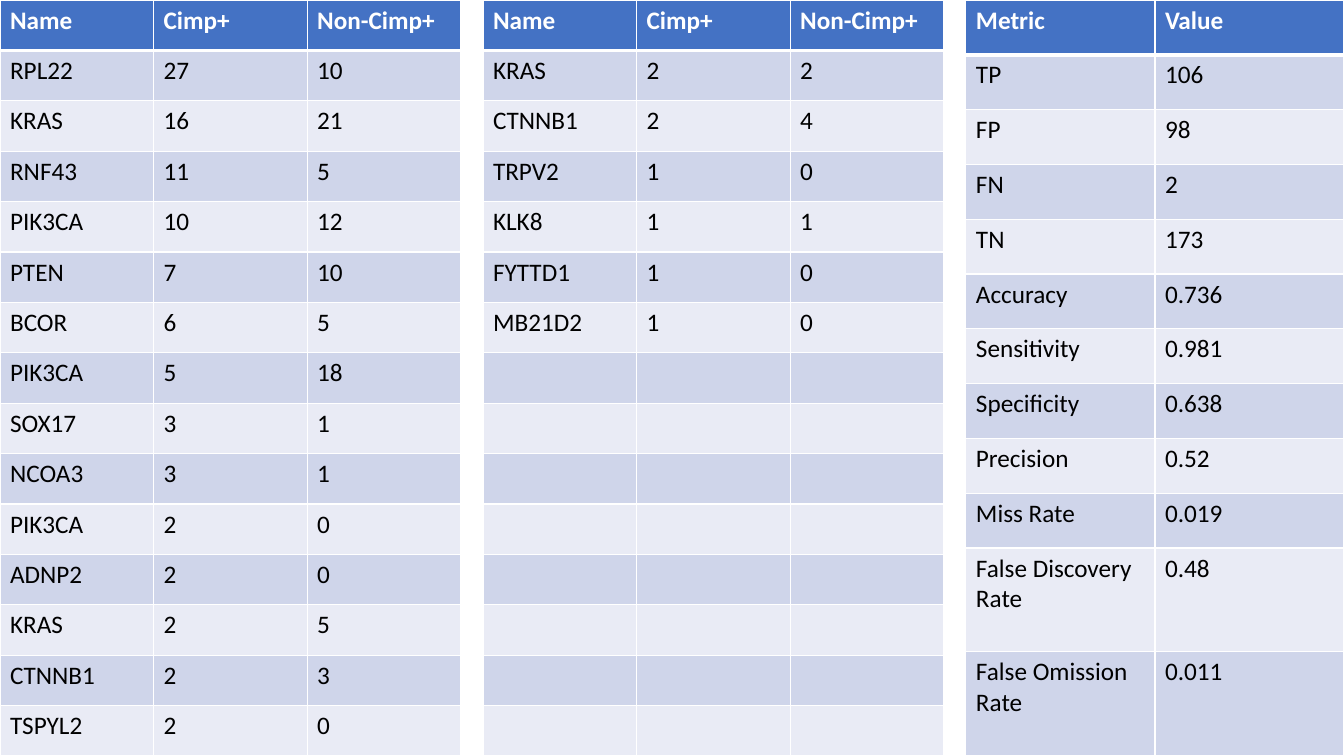
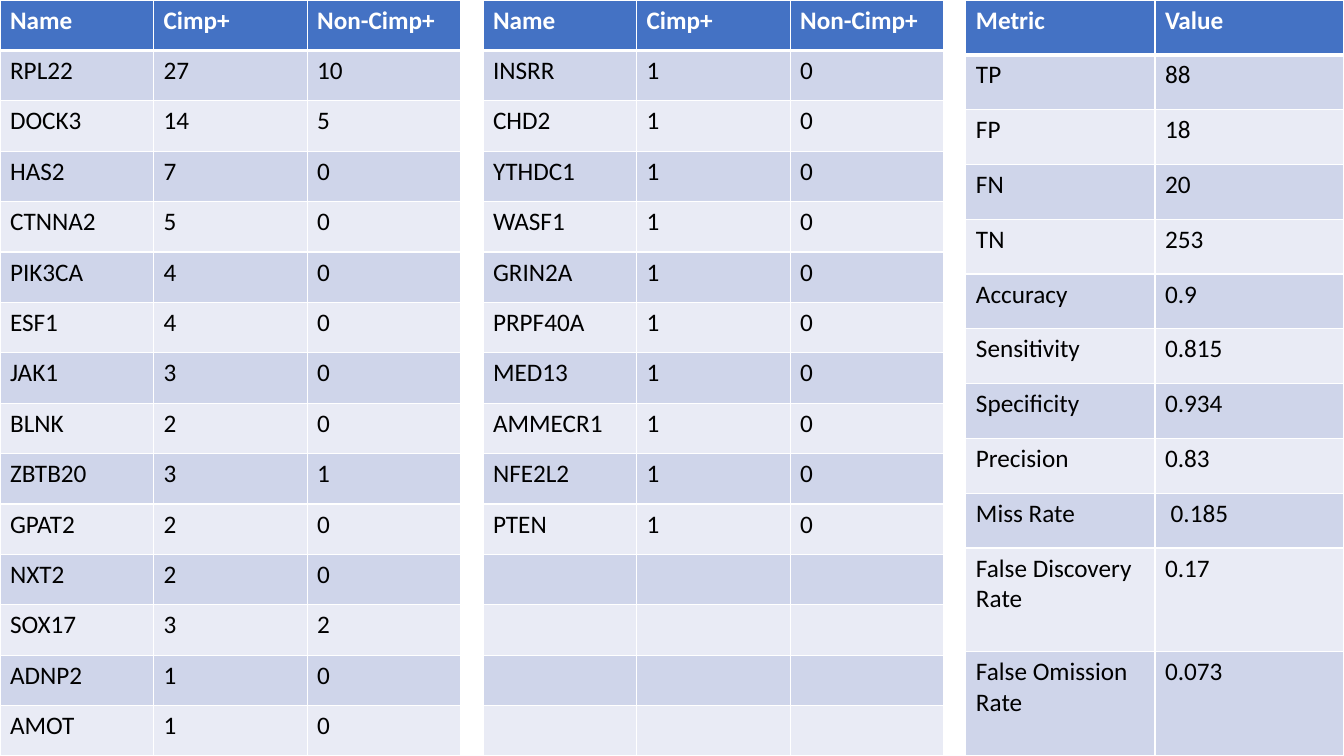
from lxml import etree
from pptx import Presentation, util as u
from pptx.dml import color
from pptx.oxml import ns

COLORS = {"header": "4472C4", "odd": "CFD5EA", "even": "E9EBF5", "line": "FFFFFF", "text": "000000"}
FONT, FONT_SIZE = "Calibri", u.Pt(18)
WIDTH, HEIGHT = u.Inches(13.33), u.Inches(7.5)
GENE_ROWS, TALL_ROW = 15, u.Inches(1.03)
PITCH, GAP = u.Inches(4.79), u.Inches(0.22)
GENE_HEADER = ["Name", "Cimp+", "Non-Cimp+"]
METRICS = ["TP", "FP", "FN", "TN", "Accuracy", "Sensitivity", "Specificity", "Precision", "Miss Rate",
           "False Discovery\nRate", "False Omission\nRate"]

SLIDES = [
    {
        "genes": [
            ["RPL22 27 10", "KRAS 16 21", "RNF43 11 5", "PIK3CA 10 12", "PTEN 7 10", "BCOR 6 5", "PIK3CA 5 18",
             "SOX17 3 1", "NCOA3 3 1", "PIK3CA 2 0", "ADNP2 2 0", "KRAS 2 5", "CTNNB1 2 3", "TSPYL2 2 0"],
            ["KRAS 2 2", "CTNNB1 2 4", "TRPV2 1 0", "KLK8 1 1", "FYTTD1 1 0", "MB21D2 1 0"],
        ],
        "values": ["106", "98", "2", "173", "0.736", "0.981", "0.638", "0.52", "0.019", "0.48", "0.011"],
    },
    {
        "genes": [
            ["RPL22 27 10", "DOCK3 14 5", "HAS2 7 0", "CTNNA2 5 0", "PIK3CA 4 0", "ESF1 4 0", "JAK1 3 0",
             "BLNK 2 0", "ZBTB20 3 1", "GPAT2 2 0", "NXT2 2 0", "SOX17 3 2", "ADNP2 1 0", "AMOT 1 0"],
            ["INSRR 1 0", "CHD2 1 0", "YTHDC1 1 0", "WASF1 1 0", "GRIN2A 1 0", "PRPF40A 1 0", "MED13 1 0",
             "AMMECR1 1 0", "NFE2L2 1 0", "PTEN 1 0"],
        ],
        "values": ["88", "18", "20", "253", "0.9", "0.815", "0.934", "0.83", " 0.185", "0.17", "0.073"],
    },
]


def style_cell(cell, row):
    widths = {"L": 1, "R": 1, "T": 3 if row == 1 else 1, "B": 3 if row == 0 else 1}
    properties = cell._tc.get_or_add_tcPr()
    for side, points in widths.items():
        line = etree.SubElement(properties, ns.qn(f"a:ln{side}"), w=str(u.Pt(points)))
        fill = etree.SubElement(line, ns.qn("a:solidFill"))
        etree.SubElement(fill, ns.qn("a:srgbClr"), val=COLORS["line"])
    band = "header" if row == 0 else "odd" if row % 2 else "even"
    cell.fill.solid()
    cell.fill.fore_color.rgb = color.RGBColor.from_string(COLORS[band])
    for para in cell.text_frame.paragraphs:
        for span in para.runs:
            span.font.name, span.font.size, span.font.bold = FONT, FONT_SIZE, row == 0
            span.font.color.rgb = color.RGBColor.from_string(COLORS["text" if row else "line"])


def add_grid(page, left, width, rows, heights):
    columns = len(rows[0])
    table = page.shapes.add_table(len(rows), columns, left, 0, width, HEIGHT).table
    for column in table.columns:
        column.width = width // columns
    for row, (texts, height) in enumerate(zip(rows, heights)):
        table.rows[row].height = height
        for column, words in enumerate(texts):
            cell = table.cell(row, column)
            if words:
                cell.text_frame.text = words
            style_cell(cell, row)


deck = Presentation()
deck.slide_width, deck.slide_height = WIDTH, HEIGHT
gene_heights = [HEIGHT // GENE_ROWS] * GENE_ROWS
metric_heights = [(HEIGHT - 2 * TALL_ROW) // 10] * 10 + [TALL_ROW] * 2

for content in SLIDES:
    page = deck.slides.add_slide(deck.slide_layouts[6])
    for position, genes in enumerate(content["genes"]):
        rows = [GENE_HEADER] + [gene.split() for gene in genes]
        rows += [[""] * len(GENE_HEADER)] * (GENE_ROWS - len(rows))
        add_grid(page, position * PITCH, PITCH - GAP, rows, gene_heights)
    metric_rows = [("Metric", "Value"), *zip(METRICS, content["values"])]
    add_grid(page, 2 * PITCH, WIDTH - 2 * PITCH, metric_rows, metric_heights)

deck.save("out.pptx")
